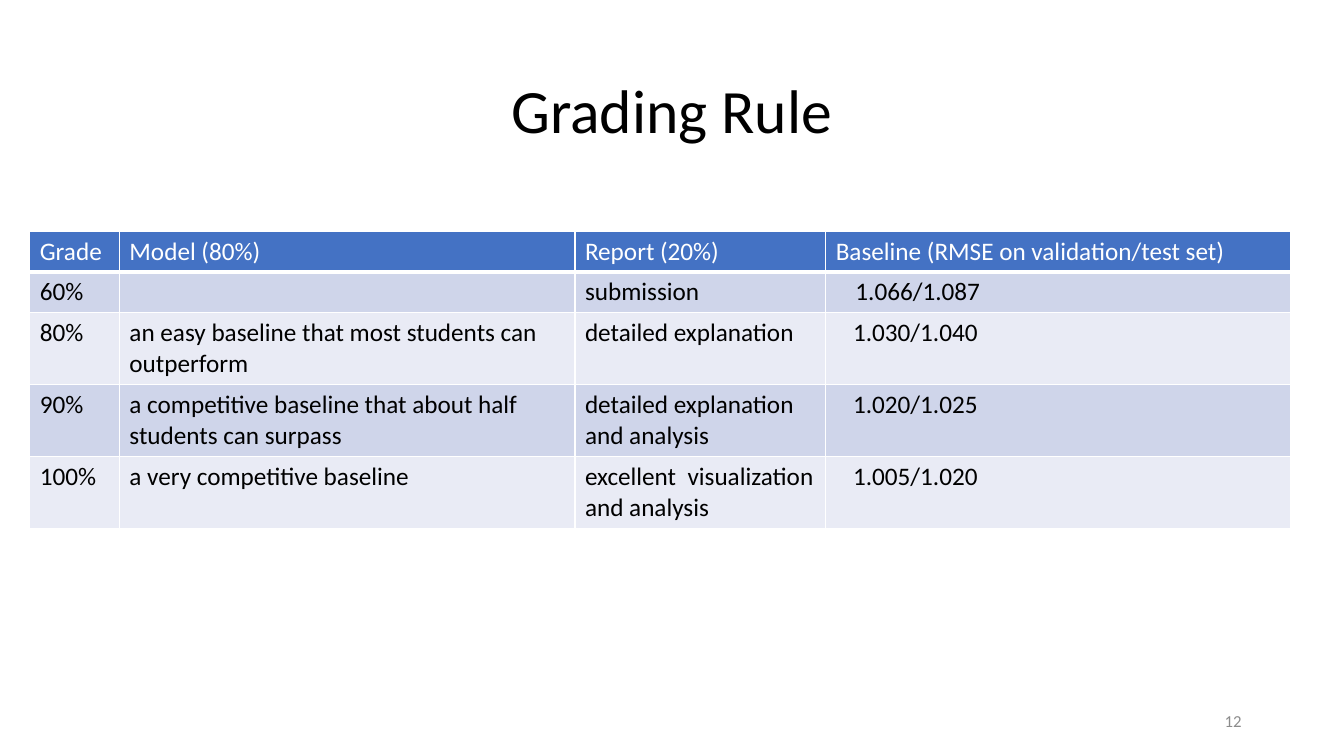
from dataclasses import dataclass

from lxml.etree import SubElement
from pptx import Presentation
from pptx.dml.color import RGBColor
from pptx.enum.text import MSO_ANCHOR as Anchor, PP_ALIGN as Align
from pptx.oxml.ns import qn
from pptx.util import Cm, Pt

COLORS = {
    "header": "4472C4",
    "band_dark": "CFD5EA",
    "band_light": "E9EBF5",
    "white": "FFFFFF",
    "black": "000000",
    "gray": "8C8C8C",
}
FONT = "Calibri"
COLUMN_WIDTHS = (2.26, 11.48, 6.32, 11.71)
HEADINGS = ("Grade", "Model (80%)", "Report (20%)",
            "Baseline (RMSE on validation/test set)")
LINE_HEIGHT = 0.78
ROW_PADDING = 0.25


@dataclass
class GradeRule:
    grade: str
    model: str
    report: str
    baseline: str
    lines: int = 2
    baseline_indent: float = 0.69
    baseline_anchor: Anchor = Anchor.TOP


@dataclass
class Label:
    text: str
    left: float
    top: float
    width: float
    height: float
    size: int
    color: str
    align: Align
    line_spacing: float = 1.0


RULES = (
    GradeRule("60%", "", "submission", "1.066/1.087", lines=1,
              baseline_indent=0.75, baseline_anchor=Anchor.MIDDLE),
    GradeRule("80%", "an easy baseline that most students can outperform",
              "detailed explanation", "1.030/1.040"),
    GradeRule("90%", "a competitive baseline that about half students can surpass",
              "detailed explanation and analysis", "1.020/1.025"),
    GradeRule("100%", "a very competitive baseline",
              "excellent  visualization and analysis", "1.005/1.020"),
)
LABELS = (
    Label("Grading Rule", 2.33, 1.01, 29.21, 3.68, 44, "black", Align.CENTER, 0.9),
    Label("12", 23.92, 17.65, 7.62, 1.01, 12, "gray", Align.RIGHT),
)


def rgb(name: str) -> RGBColor:
    return RGBColor.from_string(COLORS[name])


def style_text(paragraph, size: int, color: str) -> None:
    for run in paragraph.runs:
        run.font.name = FONT
        run.font.size = Pt(size)
        run.font.bold = False
        run.font.color.rgb = rgb(color)


def add_label(slide, label: Label) -> None:
    box = slide.shapes.add_textbox(Cm(label.left), Cm(label.top),
                                   Cm(label.width), Cm(label.height))
    frame = box.text_frame
    frame.word_wrap = True
    frame.vertical_anchor = Anchor.MIDDLE
    frame.text = label.text
    paragraph = frame.paragraphs[0]
    paragraph.alignment = label.align
    paragraph.line_spacing = label.line_spacing
    style_text(paragraph, label.size, label.color)


def add_borders(cell, bottom_width: int) -> None:
    properties = cell._tc.get_or_add_tcPr()
    for side, width in (("L", 1), ("R", 1), ("T", 1), ("B", bottom_width)):
        line = SubElement(properties, qn(f"a:ln{side}"), w=str(Pt(width)))
        fill = SubElement(line, qn("a:solidFill"))
        SubElement(fill, qn("a:srgbClr"), val=COLORS["white"])


def fill_row(table, index: int, texts: tuple[str, ...], fill: str,
             color: str, lines: int, bottom_width: int = 1) -> None:
    table.rows[index].height = Cm(ROW_PADDING + LINE_HEIGHT * lines)
    for cell, text in zip(table.rows[index].cells, texts):
        add_borders(cell, bottom_width)
        cell.fill.solid()
        cell.fill.fore_color.rgb = rgb(fill)
        cell.text_frame.text = text
        style_text(cell.text_frame.paragraphs[0], 18, color)


def add_grade_table(slide) -> None:
    table = slide.shapes.add_table(
        len(RULES) + 1, len(HEADINGS), Cm(0.75), Cm(5.82),
        Cm(sum(COLUMN_WIDTHS)), Cm(7.39)).table
    for column, width in zip(table.columns, COLUMN_WIDTHS):
        column.width = Cm(width)

    fill_row(table, 0, HEADINGS, "header", "white", lines=1, bottom_width=3)
    for index, rule in enumerate(RULES, start=1):
        band = "band_dark" if index % 2 else "band_light"
        texts = (rule.grade, rule.model, rule.report, rule.baseline)
        fill_row(table, index, texts, band, "black", rule.lines)
        baseline = table.cell(index, 3)
        baseline.margin_left = Cm(rule.baseline_indent)
        baseline.vertical_anchor = rule.baseline_anchor


def main() -> None:
    deck = Presentation()
    deck.slide_width, deck.slide_height = Cm(33.87), Cm(19.05)
    slide = deck.slides.add_slide(deck.slide_layouts[6])
    add_grade_table(slide)
    for label in LABELS:
        add_label(slide, label)
    deck.save("out.pptx")


if __name__ == "__main__":
    main()
